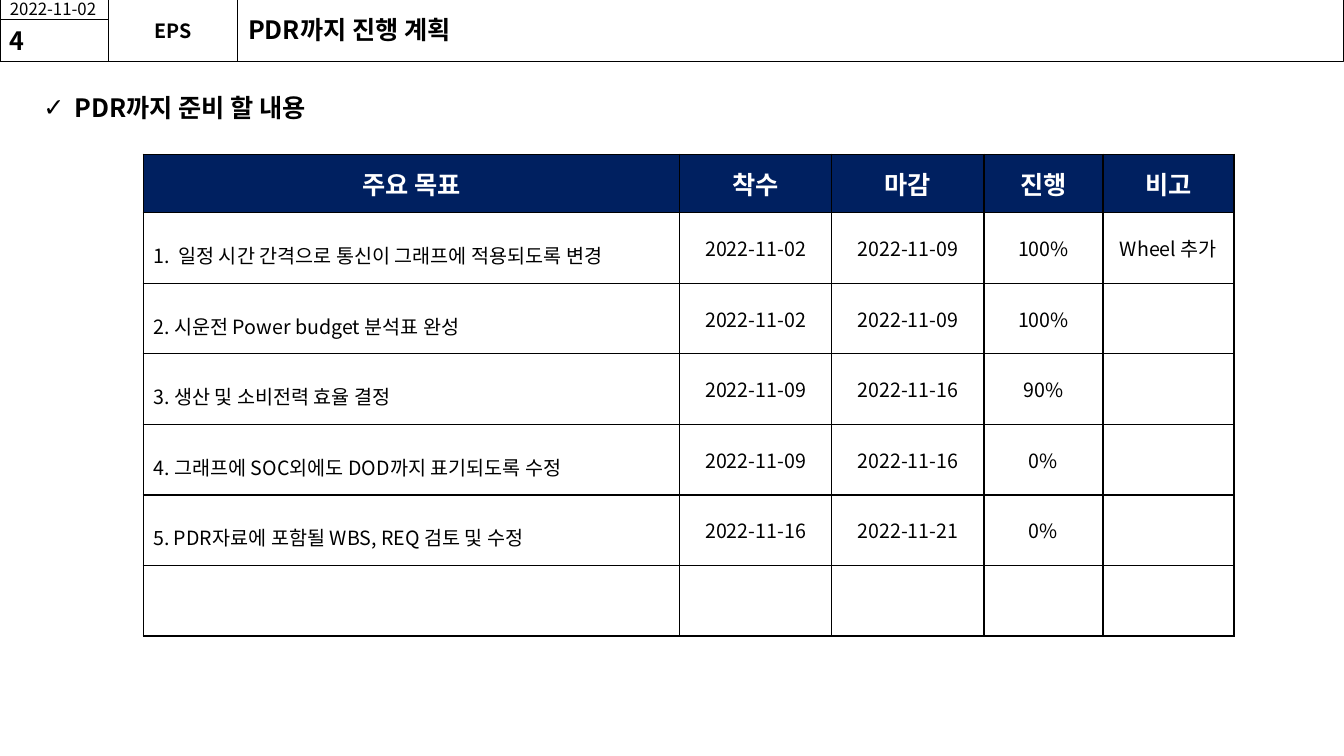
import pptx
import pptx.dml.color
import pptx.enum.shapes
import pptx.enum.text
import pptx.oxml
import pptx.oxml.ns
import pptx.util

BLACK = pptx.dml.color.RGBColor(0x00, 0x00, 0x00)
WHITE = pptx.dml.color.RGBColor(0xFF, 0xFF, 0xFF)
NAVY = pptx.dml.color.RGBColor(0x00, 0x20, 0x60)
FONT = "Noto Sans CJK KR"
SLIDE_W, SLIDE_H = 13.33, 7.5
NS = pptx.oxml.ns.nsdecls("a")
LEFT = pptx.enum.text.PP_ALIGN.LEFT
CENTER = pptx.enum.text.PP_ALIGN.CENTER
MIDDLE = pptx.enum.text.MSO_ANCHOR.MIDDLE

HEADINGS = ["주요 목표", "착수", "마감", "진행", "비고"]
GOALS = [
    ["일정 시간 간격으로 통신이 그래프에 적용되도록 변경", "2022-11-02", "2022-11-09", "100%", "Wheel 추가"],
    ["2. 시운전 Power budget 분석표 완성", "2022-11-02", "2022-11-09", "100%", ""],
    ["3. 생산 및 소비전력 효율 결정", "2022-11-09", "2022-11-16", "90%", ""],
    ["4. 그래프에 SOC외에도 DOD까지 표기되도록 수정", "2022-11-09", "2022-11-16", "0%", ""],
    ["5. PDR자료에 포함될 WBS, REQ 검토 및 수정", "2022-11-16", "2022-11-21", "0%", ""],
    ["", "", "", "", ""],
]
COLUMN_WIDTHS = [5.32, 1.51, 1.51, 1.18, 1.3]
HEADING_HEIGHT, GOAL_HEIGHT = 0.58, 0.7


def inches(box):
    """Convert a box of inch values to lengths."""
    return [pptx.util.Inches(value) for value in box]


def place(placeholder, box):
    """Move a placeholder to a box."""
    placeholder.left, placeholder.top, placeholder.width, placeholder.height = inches(box)


def write(paragraph, text, size, bold=False, color=BLACK, align=LEFT):
    """Fill a paragraph and format it in Latin and Korean alike."""
    paragraph.text = text
    paragraph.alignment = align
    font = paragraph.font
    font.size, font.bold, font.name = pptx.util.Pt(size), bold, FONT
    font.color.rgb = color
    korean = pptx.oxml.parse_xml(f'<a:ea {NS} typeface="{FONT}"/>')
    paragraph._p.pPr.find(pptx.oxml.ns.qn("a:defRPr")).append(korean)


def add_marker(paragraph, marker, indent):
    """Give a paragraph a hanging bullet or number."""
    properties = paragraph._p.get_or_add_pPr()
    properties.set("marL", str(pptx.util.Inches(indent)))
    properties.set("indent", str(-pptx.util.Inches(indent)))
    properties.append(pptx.oxml.parse_xml(marker))


def add_header_cell(slide, box, text="", size=12, bold=True, align=LEFT, margin=0.1):
    """Draw one outlined cell of the header."""
    header_cell = slide.shapes.add_shape(pptx.enum.shapes.MSO_SHAPE.RECTANGLE, *inches(box))
    header_cell.shadow.inherit = False
    header_cell.fill.background()
    header_cell.line.color.rgb = BLACK
    header_cell.line.width = pptx.util.Pt(0.75)
    frame = header_cell.text_frame
    frame.vertical_anchor = MIDDLE
    frame.margin_left = frame.margin_right = pptx.util.Inches(margin)
    if text:
        write(frame.paragraphs[0], text, size, bold, align=align)


def add_header(slide, box):
    """Build the header band with date, page, subsystem and title."""
    left, top, width, height = box
    date_w, subsystem_w, date_h = 1.08, 1.28, 0.2
    title_left = left + date_w + subsystem_w
    title_w = width - date_w - subsystem_w
    add_header_cell(slide, (title_left, top, title_w, height))
    add_header_cell(slide, (left, top, date_w, date_h), "2022-11-02", bold=False)
    add_header_cell(slide, (left + date_w, top, subsystem_w, height), "EPS", 14, align=CENTER, margin=0)
    add_header_cell(slide, (left, top + date_h, date_w, height - date_h), "4", 18)
    title = slide.shapes.title
    place(title, (title_left, top + 0.1, title_w * 2 / 3, 0.4))
    title.text_frame.vertical_anchor = pptx.enum.text.MSO_ANCHOR.TOP
    title.text_frame.auto_size = pptx.enum.text.MSO_AUTO_SIZE.NONE
    write(title.text_frame.paragraphs[0], "PDR까지 진행 계획", 18, True)


def add_topic(slide, box):
    """Write the checked topic line in the body placeholder."""
    topic = slide.placeholders[1]
    place(topic, box)
    topic.text_frame.auto_size = pptx.enum.text.MSO_AUTO_SIZE.NONE
    line = topic.text_frame.paragraphs[0]
    line.line_spacing = 0.9
    line.space_before = pptx.util.Pt(0)
    add_marker(line, f'<a:buChar {NS} char="✓"/>', 0.31)
    write(line, "PDR까지 준비 할 내용", 18, True)


def style_cell(cell, fill):
    """Give a table cell its borders, fill and anchor."""
    properties = cell._tc.get_or_add_tcPr()
    for side in "LRTB":
        properties.append(pptx.oxml.parse_xml(
            f'<a:ln{side} {NS} w="{pptx.util.Pt(1)}"><a:solidFill>'
            f'<a:srgbClr val="{BLACK}"/></a:solidFill></a:ln{side}>'))
    cell.fill.solid()
    cell.fill.fore_color.rgb = fill
    cell.vertical_anchor = MIDDLE


def add_schedule(slide, left, top):
    """Build the table of goals, dates and progress."""
    height = HEADING_HEIGHT + GOAL_HEIGHT * len(GOALS)
    schedule = slide.shapes.add_table(
        len(GOALS) + 1, len(HEADINGS), *inches((left, top, sum(COLUMN_WIDTHS), height))).table
    schedule.first_row = schedule.horz_banding = False
    for column, width in zip(schedule.columns, COLUMN_WIDTHS):
        column.width = pptx.util.Inches(width)
    for r, entries in enumerate([HEADINGS] + GOALS):
        heading = r == 0
        schedule.rows[r].height = pptx.util.Inches(HEADING_HEIGHT if heading else GOAL_HEIGHT)
        for c, entry in enumerate(entries):
            cell = schedule.cell(r, c)
            style_cell(cell, NAVY if heading else WHITE)
            if not entry:
                continue
            line = cell.text_frame.paragraphs[0]
            goal = c == 0 and not heading
            if goal:
                line.line_spacing = 1.5
            if goal and r == 1:
                add_marker(line, f'<a:buAutoNum {NS} type="arabicPeriod"/>', 0.25)
            write(line, entry, 18 if heading else 14, heading,
                  WHITE if heading else BLACK, LEFT if goal else CENTER)


def main():
    """Build and save the plan slide."""
    deck = pptx.Presentation()
    deck.slide_width, deck.slide_height = inches((SLIDE_W, SLIDE_H))
    slide = deck.slides.add_slide(deck.slide_layouts[1])
    add_topic(slide, (0.33, 0.9, 11.92, 6.09))
    add_header(slide, (0, -0.01, SLIDE_W, 0.62))
    add_schedule(slide, 1.42, 1.53)
    deck.save("out.pptx")


if __name__ == "__main__":
    main()
